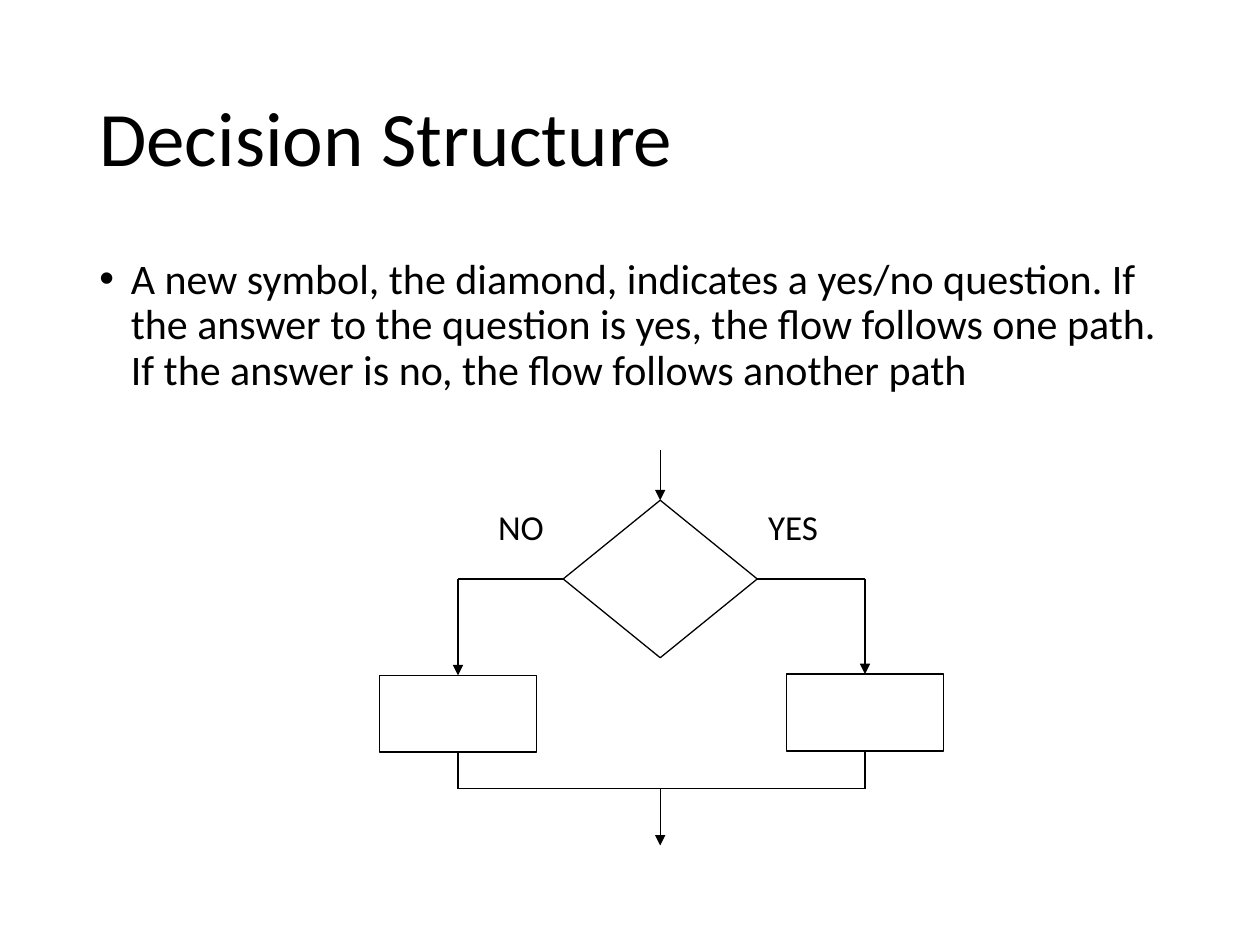
"""Build the Decision Structure flowchart slide."""
from lxml.etree import SubElement
from pptx import Presentation
from pptx.dml.color import RGBColor
from pptx.enum.shapes import MSO_CONNECTOR, MSO_SHAPE
from pptx.enum.text import MSO_ANCHOR, PP_ALIGN
from pptx.oxml.ns import qn
from pptx.util import Inches, Pt

BLACK = RGBColor(0, 0, 0)
FONT = "Calibri"
TOP, LEFT, BOTTOM, RIGHT = range(4)

TITLE = "Decision Structure"
EXPLANATION = (
    "A new symbol, the diamond, indicates a yes/no question. "
    "If the answer to the question is yes, the flow follows one path. "
    "If the answer is no, the flow follows another path"
)
ANSWERS = [("YES", 5.88), ("NO", 3.72)]
DIAMOND = (4.47, 3.97, 1.54, 1.25)
BRANCHES = [((3.01, 5.36, 1.25, 0.61), LEFT), ((6.24, 5.35, 1.25, 0.61), RIGHT)]
ENTRY_Y, MERGE_Y, EXIT_Y = 3.57, 6.26, 6.71


def add_text(slide, text, box, size, anchor=MSO_ANCHOR.TOP):
    frame = slide.shapes.add_textbox(*map(Inches, box)).text_frame
    frame.word_wrap = True
    frame.vertical_anchor = anchor
    frame.text = text
    paragraph = frame.paragraphs[0]
    font = paragraph.runs[0].font
    font.name, font.size, font.color.rgb = FONT, Pt(size), BLACK
    return paragraph


def add_node(slide, preset, box):
    node = slide.shapes.add_shape(preset, *map(Inches, box))
    node.shadow.inherit = False
    node.fill.background()
    node.line.color.rgb = BLACK
    node.line.width = Pt(0.75)
    return node


def add_flow(slide, start, end, begin=None, finish=None, arrow=False):
    flow = slide.shapes.add_connector(
        MSO_CONNECTOR.STRAIGHT, *map(Inches, (*start, *end)))
    flow.line.color.rgb = BLACK
    flow.line.width = Pt(0.75)
    if begin:
        flow.begin_connect(*begin)
    if finish:
        flow.end_connect(*finish)
    properties = flow._element.spPr
    if arrow:
        SubElement(properties.find(qn("a:ln")), qn("a:tailEnd"), type="triangle")
    SubElement(properties, qn("a:effectLst"))


def add_bullet(paragraph):
    properties = paragraph._p.get_or_add_pPr()
    properties.set("marL", str(Inches(0.25)))
    properties.set("indent", str(-Inches(0.25)))
    SubElement(properties, qn("a:buFont"), typeface="Arial")
    SubElement(properties, qn("a:buChar"), char="•")


def add_flowchart(slide):
    left, top, width, height = DIAMOND
    middle_x, middle_y = left + width / 2, top + height / 2
    decision = add_node(slide, MSO_SHAPE.FLOWCHART_DECISION, DIAMOND)
    add_flow(slide, (middle_x, ENTRY_Y), (middle_x, top),
             finish=(decision, TOP), arrow=True)

    merge_ends = []
    for box, side in BRANCHES:
        step = add_node(slide, MSO_SHAPE.RECTANGLE, box)
        x = box[0] + box[2] / 2
        corner = (x, middle_y)
        side_x = left if side == LEFT else left + width
        merge_end = (x, MERGE_Y)
        add_flow(slide, (side_x, middle_y), corner, begin=(decision, side))
        add_flow(slide, corner, (x, box[1]), finish=(step, TOP), arrow=True)
        add_flow(slide, (x, box[1] + box[3]), merge_end, begin=(step, BOTTOM))
        merge_ends.append(merge_end)
    add_flow(slide, *merge_ends)
    add_flow(slide, (middle_x, MERGE_Y), (middle_x, EXIT_Y), arrow=True)

    for answer, x in ANSWERS:
        label = add_text(slide, answer, (x, 3.96, 0.83, 0.43), 20)
        label.alignment = PP_ALIGN.CENTER


def main():
    """Assemble and save the slide."""
    deck = Presentation()
    deck.slide_width, deck.slide_height = Inches(10), Inches(7.5)
    slide = deck.slides.add_slide(deck.slide_layouts[6])
    title = add_text(slide, TITLE, (0.69, 0.4, 8.62, 1.45), 44, MSO_ANCHOR.MIDDLE)
    title.line_spacing = 0.9
    explanation = add_text(slide, EXPLANATION, (0.69, 2, 8.62, 4.76), 24)
    explanation.line_spacing = 0.9
    explanation.space_before = Pt(10)
    add_bullet(explanation)
    add_flowchart(slide)
    deck.save("out.pptx")


if __name__ == "__main__":
    main()
